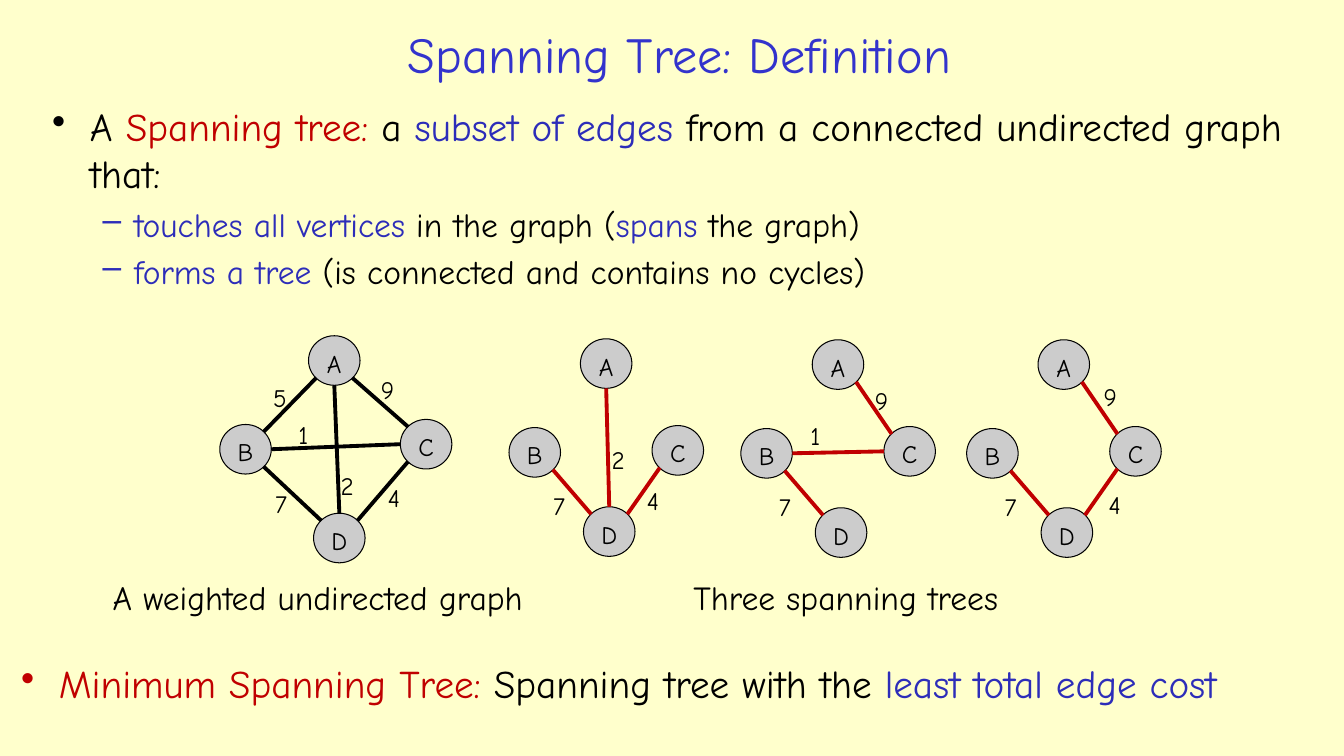
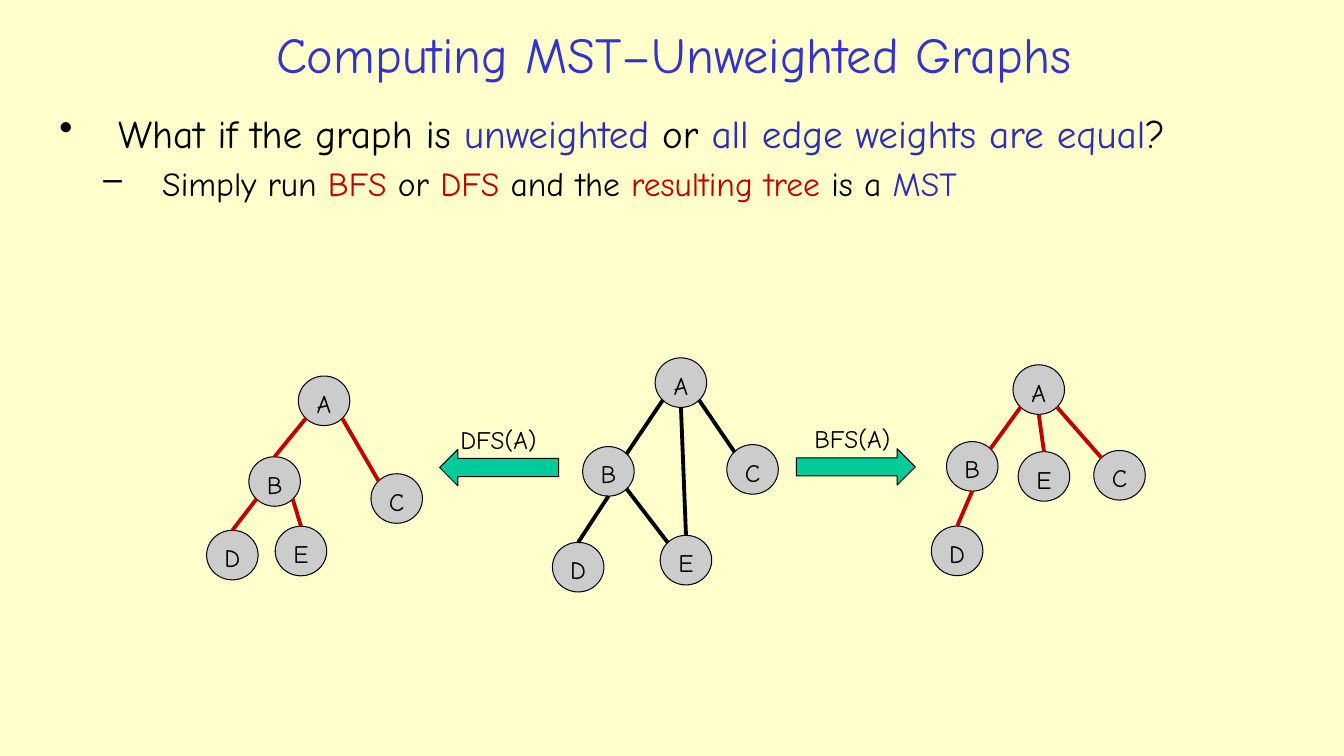
from lxml import etree
from pptx import Presentation
from pptx.dml.color import RGBColor
from pptx.enum.shapes import MSO_CONNECTOR, MSO_SHAPE
from pptx.enum.text import MSO_ANCHOR, PP_ALIGN
from pptx.oxml.ns import qn
from pptx.util import Pt

STRAIGHT = MSO_CONNECTOR.STRAIGHT
OVAL, LEFT_ARROW, RIGHT_ARROW = MSO_SHAPE.OVAL, MSO_SHAPE.LEFT_ARROW, MSO_SHAPE.RIGHT_ARROW
LEFT, CENTER = PP_ALIGN.LEFT, PP_ALIGN.CENTER
TOP, MIDDLE = MSO_ANCHOR.TOP, MSO_ANCHOR.MIDDLE

FONT = "Comic Neue"
CREAM, BLACK, GREY, GREEN = "FFFFCC", "000000", "CCCCCC", "00CC99"
TITLE_BLUE, BLUE, RED = "3333CC", "2D2DB9", "C00000"

NODE_WIDTH, NODE_HEIGHT = 36.8, 35.4
LABEL_HEIGHT = 28.8
TITLE_RIGHT = 828.7
NEAR, FAR = 0.15, 0.85
SITES = {
    "n": (0.5, 0), "s": (0.5, 1), "w": (0, 0.5), "e": (1, 0.5),
    "nw": (NEAR, NEAR), "ne": (FAR, NEAR), "sw": (NEAR, FAR), "se": (FAR, FAR),
}

WEIGHTED_NODES = {"A": (63.4, 0), "B": (0, 63.4), "C": (129, 59.8), "D": (67, 126.8)}
TREE_NODES = {"A": (51, 0), "B": (0, 63.4), "C": (102.2, 62), "D": (53.2, 120)}
WEIGHTED_GRAPHS = [
    ((157, 239.8), WEIGHTED_NODES, BLACK,
     ["B se D nw", "B ne A sw", "A se C nw", "D ne C sw", "A s D n", "B e C w"],
     {"5": (31, 29.5), "9": (108, 23.8), "2": (79.2, 92.9),
      "1": (49, 56.2), "7": (32.4, 105.8), "4": (113, 101.5)}),
    ((363.6, 242), TREE_NODES, RED, ["B se D nw", "D ne C sw", "A s D n"],
     {"2": (66.2, 72), "4": (91.4, 100.8), "7": (24.5, 104.4)}),
    ((529.2, 242.7), TREE_NODES, RED, ["B se D nw", "A se C nw", "B e C w"],
     {"9": (88.6, 28.8), "1": (42.5, 54), "7": (20, 105)}),
    ((690.5, 242.7), TREE_NODES, RED, ["B se D nw", "A se C nw", "D ne C sw"],
     {"7": (20, 105), "4": (94.3, 103), "9": (90.7, 26)}),
]
SEARCH_GRAPHS = [
    ((394.6, 255.6),
     {"A": (73.4, 0), "B": (21.6, 63.4), "C": (124.6, 62), "D": (0, 131.8), "E": (77, 126.8)},
     BLACK, ["B se E nw", "B ne A sw", "A se C nw", "B s D n", "A s E n"], {}),
    ((665.3, 260.6),
     {"A": (58.3, 0), "B": (10.8, 54.8), "C": (116, 61.2), "D": (0, 115.2), "E": (62, 62)},
     RED, ["B ne A sw", "A se C nw", "B s D n", "A s E n"], {}),
    ((147.6, 268.6),
     {"A": (65.5, 0), "B": (30.2, 57.6), "C": (117.4, 69.8), "D": (0, 110.2), "E": (49, 107.3)},
     RED, ["A sw B n", "A se C nw", "B sw D n", "B se E n"], {}),
]


def color(value):
    """Turn a hex string into a colour."""
    return RGBColor.from_string(value)


def points(*values):
    """Turn numbers into point lengths."""
    return [Pt(value) for value in values]


def add_runs(para, runs, size):
    """Write (text, colour) runs into a paragraph."""
    for text, ink in runs:
        span = para.add_run()
        span.text = text
        span.font.name = FONT
        span.font.size = Pt(size)
        span.font.color.rgb = color(ink)


def set_bullet(para, symbol, margin, hang):
    """Give a paragraph a bullet with a hanging indent."""
    properties = para._p.get_or_add_pPr()
    properties.set("marL", str(Pt(margin)))
    properties.set("indent", str(-Pt(hang)))
    etree.SubElement(properties, qn("a:buChar")).set("char", symbol)


def add_text(shapes, box, runs, size, align=LEFT, anchor=TOP, before=0):
    """Place a text box holding one paragraph."""
    frame = shapes.add_textbox(*points(*box)).text_frame
    frame.word_wrap = True
    frame.vertical_anchor = anchor
    para = frame.paragraphs[0]
    para.alignment = align
    para.space_before = Pt(before)
    add_runs(para, runs, size)


def add_bullets(page, box, items):
    """Place a text box of (symbol, margin, hang, size, runs) items."""
    frame = page.shapes.add_textbox(*points(*box)).text_frame
    frame.word_wrap = True
    for index, (symbol, margin, hang, size, runs) in enumerate(items):
        para = frame.add_paragraph() if index else frame.paragraphs[0]
        para.space_before = Pt(size * 0.2)
        set_bullet(para, symbol, margin, hang)
        add_runs(para, runs, size)


def add_outlined(shapes, kind, box, fill):
    """Place a filled preset shape with a thin black outline."""
    shape = shapes.add_shape(kind, *points(*box))
    shape.shadow.inherit = False
    shape.fill.solid()
    shape.fill.fore_color.rgb = color(fill)
    shape.line.color.rgb = color(BLACK)
    shape.line.width = Pt(0.75)
    return shape


def add_node(shapes, left, top, name):
    """Place a round, lettered vertex."""
    frame = add_outlined(shapes, OVAL, (left, top, NODE_WIDTH, NODE_HEIGHT), GREY).text_frame
    frame.margin_left = frame.margin_right = 0
    frame.vertical_anchor = TOP
    para = frame.paragraphs[0]
    para.alignment = CENTER
    add_runs(para, [(name, BLACK)], 18)


def add_edge(shapes, start, end, ink):
    """Draw a straight edge between two points."""
    edge = shapes.add_connector(STRAIGHT, *points(*start, *end))
    edge.line.color.rgb = color(ink)
    edge.line.width = Pt(2.75)
    etree.SubElement(edge._element.spPr, qn("a:effectLst"))


def add_graph(page, origin, nodes, ink, edges, weights):
    """Draw a graph as one group, relative to its top left corner."""
    left, top = origin
    shapes = page.shapes.add_group_shape().shapes

    def site(name, side):
        """Find the point on one side of a vertex."""
        x, y = nodes[name]
        across, down = SITES[side]
        return left + x + across * NODE_WIDTH, top + y + down * NODE_HEIGHT

    for name, (x, y) in nodes.items():
        add_node(shapes, left + x, top + y, name)
    for edge in edges:
        first, first_side, second, second_side = edge.split()
        add_edge(shapes, site(first, first_side), site(second, second_side), ink)
    for weight, (x, y) in weights.items():
        add_text(shapes, (left + x, top + y, 26, LABEL_HEIGHT), [(weight, BLACK)], 18)


def add_search_arrow(page, box, kind, label, label_left):
    """Place a block arrow with its label above."""
    left, top, width, height = box
    shapes = page.shapes.add_group_shape().shapes
    add_outlined(shapes, kind, (left, top, width, height), GREEN)
    label_box = (left + label_left, top - 21.5, 77, LABEL_HEIGHT)
    add_text(shapes, label_box, [(label, BLACK)], 18)


def add_page(deck, title, title_left):
    """Add a blank page with a centred title."""
    page = deck.slides.add_slide(deck.slide_layouts[6])
    box = (title_left, 10.8, TITLE_RIGHT - title_left, 54.7)
    add_text(page.shapes, box, [(title, TITLE_BLUE)], 36, CENTER, MIDDLE)
    return page


def build_definition(deck):
    """Build the page that defines spanning trees."""
    page = add_page(deck, "Spanning Tree: Definition", 141.8)
    add_bullets(page, (30.2, 69.8, 909.4, 141.8), [
        ("•", 27, 27, 28, [
            ("A ", BLACK), ("Spanning tree: ", RED), ("a ", BLACK),
            ("subset of edges ", BLUE),
            ("from a connected undirected graph that:", BLACK)]),
        ("–", 58.5, 22.5, 24, [
            ("touches all vertices ", BLUE), ("in the graph (", BLACK),
            ("spans", BLUE), (" the graph)", BLACK)]),
        ("–", 58.5, 22.5, 24, [
            ("forms a tree ", BLUE),
            ("(is connected and contains no cycles)", BLACK)]),
    ])
    for graph in WEIGHTED_GRAPHS:
        add_graph(page, *graph)
    for left, width, caption in [(73.4, 348.5, "A weighted undirected graph"),
                                 (488.2, 252, "Three spanning trees")]:
        add_text(page.shapes, (left, 408.2, width, 40), [(caption, BLACK)], 24, before=4.8)
    add_bullets(page, (8, 467.3, 946.8, 51.8), [
        ("•", 27, 27, 28, [
            ("Minimum Spanning Tree: ", RED), ("Spanning tree with the ", BLACK),
            ("least total edge cost", BLUE)]),
    ])


def build_unweighted(deck):
    """Build the page on unweighted graphs."""
    page = add_page(deck, "Computing MST–Unweighted Graphs", 133.9)
    add_bullets(page, (35.3, 74.2, 893.5, 142.6), [
        ("•", 42, 42, 28, [
            ("What if the graph is ", BLACK), ("unweighted", BLUE), (" or ", BLACK),
            ("all edge weights are equal", BLUE), ("?", BLACK)]),
        ("–", 73.5, 42, 24, [
            ("Simply run ", BLACK), ("BFS", RED), (" or ", BLACK), ("DFS", RED),
            (" and the ", BLACK), ("resulting tree ", RED), ("is a ", BLACK),
            ("MST", BLUE)]),
    ])
    for graph in SEARCH_GRAPHS:
        add_graph(page, *graph)
    add_search_arrow(page, (568.8, 320.5, 85, 26), RIGHT_ARROW, "BFS(A)", 5.8)
    add_search_arrow(page, (314, 321, 85, 26), LEFT_ARROW, "DFS(A)", 7.8)


def main():
    """Build and save the deck."""
    deck = Presentation()
    deck.slide_width, deck.slide_height = points(960, 540)
    backdrop = deck.slide_master.background.fill
    backdrop.solid()
    backdrop.fore_color.rgb = color(CREAM)
    build_definition(deck)
    build_unweighted(deck)
    deck.save("out.pptx")


if __name__ == "__main__":
    main()
